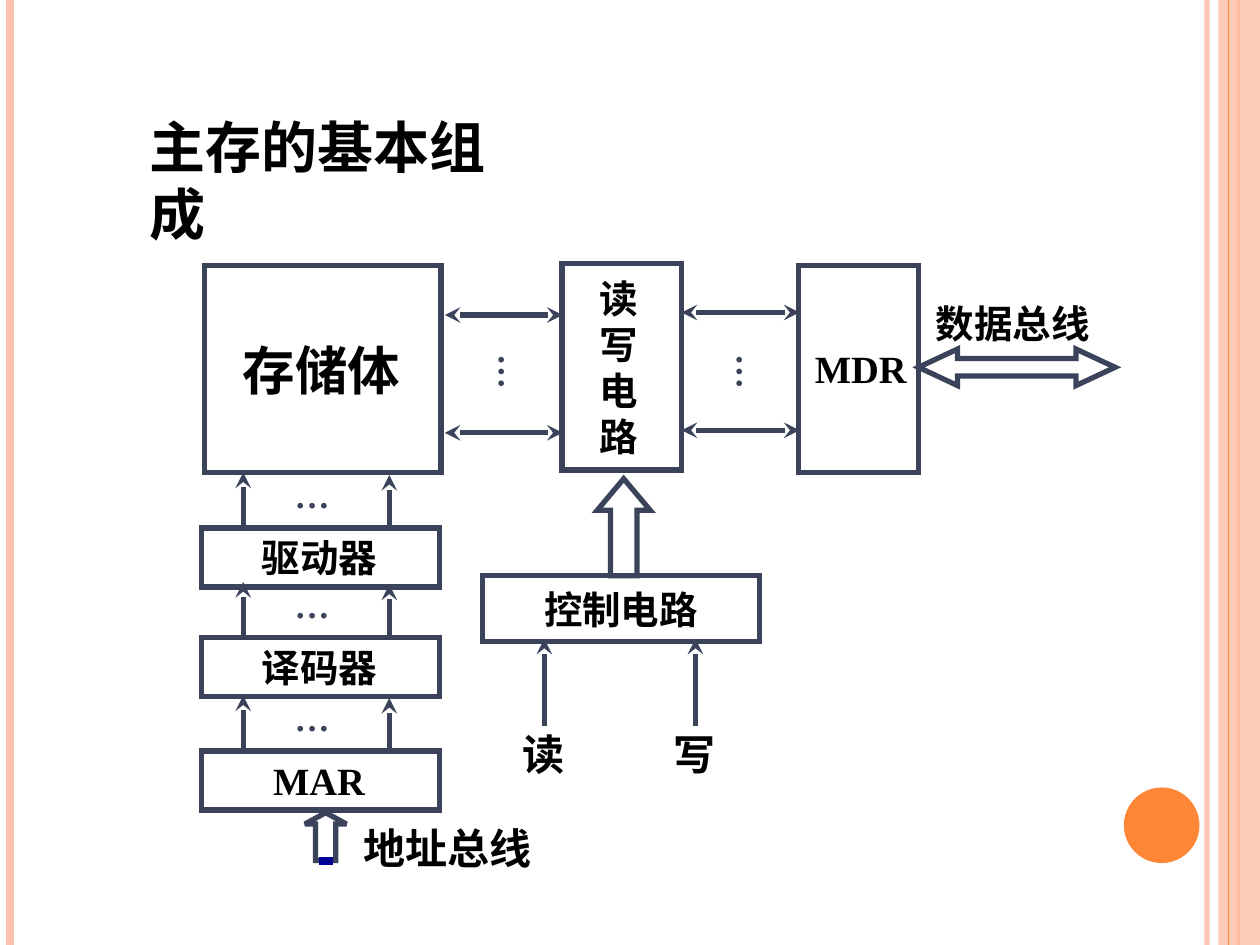
from dataclasses import dataclass

from lxml.etree import SubElement
from pptx import Presentation
from pptx.dml.color import RGBColor
from pptx.enum.shapes import MSO_CONNECTOR, MSO_SHAPE
from pptx.enum.text import MSO_AUTO_SIZE
from pptx.oxml.ns import qn
from pptx.util import Inches, Pt

COLUMNS, ROWS = 100, 75


@dataclass(frozen=True)
class Theme:
    ink: str = "000000"
    outline: str = "3B435B"
    accent: str = "FE8637"
    pale: str = "FEC3AE"
    terminal: str = "000099"
    font: str = "Times New Roman"
    title: int = 32
    heading: int = 30
    caption: int = 24
    label: int = 22
    dots: int = 20
    stroke: float = 3


def add_text(text_frame, text, size, color, font, bold=True):
    for index, line in enumerate(text.split("\n")):
        paragraph = text_frame.paragraphs[0] if index == 0 else text_frame.add_paragraph()
        run = paragraph.add_run()
        run.text = line
        run.font.name = font
        run.font.size = Pt(size)
        run.font.bold = bold
        run.font.color.rgb = RGBColor.from_string(color)


def set_alpha(fill_parent, percent):
    color = fill_parent.find(qn("a:solidFill")).find(qn("a:srgbClr"))
    SubElement(color, qn("a:alpha"), val=str(percent * 1000))


class Diagram:
    def __init__(self, presentation, theme):
        self.theme = theme
        self.slide = presentation.slides.add_slide(presentation.slide_layouts[6])
        self.shapes = self.slide.shapes
        self.column = presentation.slide_width / COLUMNS
        self.row = presentation.slide_height / ROWS

    def place(self, x, y):
        return round(x * self.column), round(y * self.row)

    def outlined(self, shape):
        shape.shadow.inherit = False
        shape.fill.background()
        shape.line.color.rgb = RGBColor.from_string(self.theme.outline)
        shape.line.width = Pt(self.theme.stroke)
        SubElement(shape.line._get_or_add_ln(), qn("a:miter"), lim="800000")

    def box(self, left, top, width, height):
        shape = self.shapes.add_shape(
            MSO_SHAPE.RECTANGLE, *self.place(left, top), *self.place(width, height))
        self.outlined(shape)

    def solid(self, kind, left, top, width, height, color, alpha=None):
        shape = self.shapes.add_shape(
            kind, *self.place(left, top), *self.place(width, height))
        shape.shadow.inherit = False
        shape.fill.solid()
        shape.fill.fore_color.rgb = RGBColor.from_string(color)
        shape.line.fill.background()
        if alpha:
            set_alpha(shape._element.spPr, alpha)

    def outline(self, points):
        start, *others = [self.place(*point) for point in points]
        builder = self.shapes.build_freeform(*start)
        builder.add_line_segments(others, close=True)
        self.outlined(builder.convert_to_shape())

    def up_arrow(self, left, top, width, height, head, inset):
        right, bottom, neck = left + width, top + height, top + head
        self.outline([
            (left, neck), (left + inset, neck), (left + inset, bottom),
            (right - inset, bottom), (right - inset, neck), (right, neck),
            (left + width / 2, top)])

    def double_arrow(self, left, top, width, height, head, inset):
        right, bottom, middle = left + width, top + height, top + height / 2
        near, far = left + head, right - head
        self.outline([
            (left, middle), (near, bottom), (near, bottom - inset),
            (far, bottom - inset), (far, bottom), (right, middle),
            (far, top), (far, top + inset), (near, top + inset), (near, top)])

    def line(self, start, end, color=None, width=None, head=False, tail=False, alpha=None):
        connector = self.shapes.add_connector(
            MSO_CONNECTOR.STRAIGHT, *self.place(*start), *self.place(*end))
        connector.line.color.rgb = RGBColor.from_string(color or self.theme.outline)
        connector.line.width = Pt(width or self.theme.stroke)
        SubElement(connector._element.spPr, qn("a:effectLst"))
        stroke = connector.line._get_or_add_ln()
        for wanted, tag in ((head, "a:headEnd"), (tail, "a:tailEnd")):
            if wanted:
                SubElement(stroke, qn(tag), type="stealth")
        if alpha:
            set_alpha(stroke, alpha)

    def text(self, text, left, top, width, height, size, color=None, wrap=False, rotation=0):
        shape = self.shapes.add_textbox(*self.place(left, top), *self.place(width, height))
        shape.rotation = rotation
        shape.text_frame.word_wrap = wrap
        shape.text_frame.auto_size = MSO_AUTO_SIZE.SHAPE_TO_FIT_TEXT
        add_text(shape.text_frame, text, size=size,
                 color=color or self.theme.ink, font=self.theme.font)

    def dots(self, left, top, rotation=0):
        self.text("…", left, top, 6.3, 4.3, self.theme.dots,
                  color=self.theme.outline, wrap=True, rotation=rotation)

    def rule(self, x, color, width, alpha=None):
        self.line((x, 0), (x, ROWS), color, width, alpha=alpha)


def draw_frame(diagram):
    theme = diagram.theme
    diagram.rule(95.8, theme.pale, 3, alpha=93)
    diagram.rule(0.8, theme.pale, 4.5)
    diagram.rule(98.3, theme.accent, 1.5)
    diagram.solid(MSO_SHAPE.RECTANGLE, 96.7, 0, 3.3, ROWS, theme.pale, alpha=87)
    diagram.rule(97.5, theme.accent, 0.75)
    diagram.solid(MSO_SHAPE.OVAL, 89.2, 62.5, 6, 6, theme.accent)
    diagram.text("主存的基本组成", 10.9, 8.4, 33.1, 6.3, theme.title)


def draw_address_path(diagram):
    theme = diagram.theme
    diagram.box(16.2, 21.1, 18.8, 16.4)
    diagram.text("存储体", 18.3, 26.3, 14.5, 6, theme.heading)
    stages = (("驱动器", 41.9, 19.8, 11.2), ("译码器", 50.6, 19.8, 11.2),
              ("MAR", 59.6, 20.7, 9.3))
    for name, top, left, width in stages:
        diagram.box(16, top, 18.9, 4.7)
        diagram.text(name, left, top, width, 4.7, theme.label)
        for x, bottom in ((19.3, top - 0.2), (30.9, top)):
            diagram.line((x, bottom), (x, bottom - 4.2), tail=True)
        diagram.dots(22.4, top - 4.8)
    diagram.up_arrow(24.2, 64.5, 3.3, 3.8, head=0.9, inset=0.85)
    diagram.line((25.3, 68.3), (26.4, 68.3), theme.terminal, 4.5)
    diagram.text("地址总线", 27.9, 64.8, 15.3, 5, theme.caption)


def draw_data_path(diagram):
    theme = diagram.theme
    diagram.box(44.6, 20.9, 9.5, 16.4)
    diagram.text("读\n写\n电\n路", 46.6, 21.3, 5.4, 15.7, theme.label, wrap=True)
    diagram.box(63.4, 21.1, 9.5, 16.4)
    diagram.text("MDR", 63.7, 26.9, 9.3, 4.7, theme.label)
    for left, top, dots_left in ((35.3, 25, 35.7), (54.1, 24.8, 54.6)):
        for y in (top, top + 9.35):
            diagram.line((left, y), (left + 9.35, y), head=True, tail=True)
        diagram.dots(dots_left, 26.6, rotation=270)
    diagram.double_arrow(72.9, 27.7, 15.6, 2.9, head=3.1, inset=0.75)
    diagram.text("数据总线", 73.3, 23.3, 14.2, 4.7, theme.label)


def draw_control(diagram):
    theme = diagram.theme
    diagram.box(38.3, 45.7, 22, 5.2)
    diagram.text("控制电路", 42.2, 46, 14.2, 4.7, theme.label)
    diagram.up_arrow(47.4, 38, 4.2, 7.7, head=2.5, inset=1.05)
    for name, x in (("读", 43.2), ("写", 55.2)):
        diagram.line((x, 57.6), (x, 50.7), tail=True)
        diagram.text(name, x - 2.7, 57.3, 5.4, 5, theme.caption)


def main():
    presentation = Presentation()
    presentation.slide_width, presentation.slide_height = Inches(10), Inches(7.5)
    diagram = Diagram(presentation, Theme())
    for draw in (draw_frame, draw_address_path, draw_data_path, draw_control):
        draw(diagram)
    presentation.save("out.pptx")


if __name__ == "__main__":
    main()
